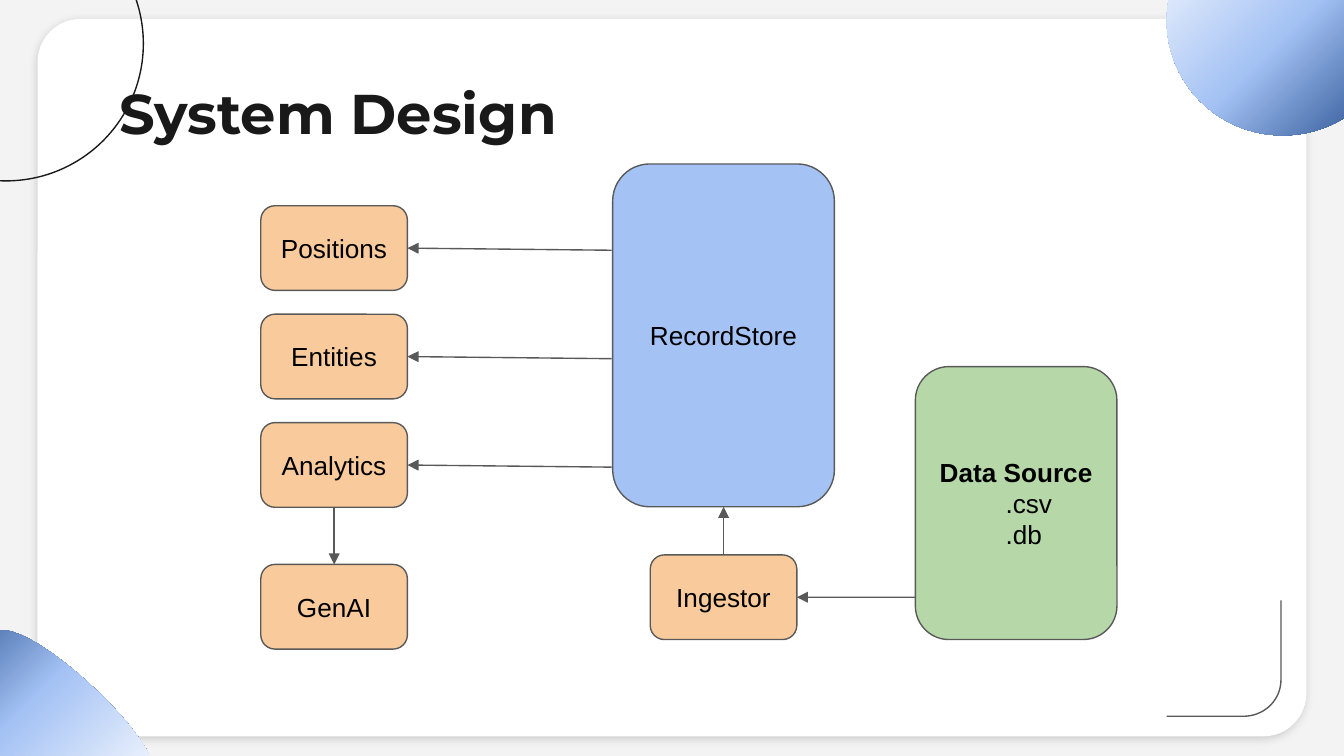
from copy import deepcopy

from lxml import etree
from pptx import Presentation
from pptx import util as u
from pptx.dml.color import RGBColor
from pptx.enum import shapes, text
from pptx.oxml import ns

GREY = RGBColor(0xF3, 0xF3, 0xF3)
WHITE = RGBColor(0xFF, 0xFF, 0xFF)
BLACK = RGBColor(0x00, 0x00, 0x00)
INK = RGBColor(0x19, 0x19, 0x19)
EDGE = RGBColor(0x59, 0x59, 0x59)
ORANGE = RGBColor(0xF9, 0xCB, 0x9C)
GREEN = RGBColor(0xB6, 0xD7, 0xA8)
BLUE = RGBColor(0xA4, 0xC2, 0xF4)
NAVY = RGBColor(0x1C, 0x45, 0x87)

HEADING = {"name": "Montserrat", "size": u.Pt(30), "bold": True}
LABEL = {"name": "Arial", "size": u.Pt(14), "bold": False}
SHADOW = {"blurRad": "57150", "dist": "19050", "dir": "5400000", "algn": "bl", "rotWithShape": "0"}


def style(shape, fill=None, line=None, angle=None):
    shape.shadow.inherit = False
    if angle is not None:
        shape.fill.gradient()
        shape.fill.gradient_angle = angle
        first = shape._element.spPr.find(".//" + ns.qn("a:gs"))
        first.addnext(deepcopy(first))
        for stop, position, color in zip(shape.fill.gradient_stops, (0, 0.47, 1), (NAVY, BLUE, WHITE)):
            stop.position = position
            stop.color.rgb = color
    elif fill is not None:
        shape.fill.solid()
        shape.fill.fore_color.rgb = fill
    else:
        shape.fill.background()
    if line is None:
        shape.line.fill.background()
    else:
        shape.line.color.rgb = line
        shape.line.width = u.Pt(0.75)


def curve(a, b, c, d, steps=24):
    points = []
    for i in range(1, steps + 1):
        t = i / steps
        weights = ((1 - t) ** 3, 3 * t * (1 - t) ** 2, 3 * t * t * (1 - t), t ** 3)
        points.append(tuple(u.Cm(sum(w * p[k] for w, p in zip(weights, (a, b, c, d)))) for k in (0, 1)))
    return points


deck = Presentation()
deck.slide_width = u.Cm(25.4)
deck.slide_height = u.Cm(14.29)
slide = deck.slides.add_slide(deck.slide_layouts[6])
slide.background.fill.solid()
slide.background.fill.fore_color.rgb = GREY
canvas = slide.shapes
ROUNDED = shapes.MSO_SHAPE.ROUNDED_RECTANGLE
OVAL = shapes.MSO_SHAPE.OVAL

card = canvas.add_shape(ROUNDED, u.Cm(0.71), u.Cm(0.36), u.Cm(23.98), u.Cm(13.56))
card.adjustments[0] = 0.06
style(card, WHITE)
glow = etree.SubElement(card._element.spPr.find(ns.qn("a:effectLst")), ns.qn("a:outerShdw"), SHADOW)
tint = etree.SubElement(glow, ns.qn("a:srgbClr"), val="000000")
etree.SubElement(tint, ns.qn("a:alpha"), val="17000")

petal_path = [
    ((2.9, 14.71), (3.2, 14.17), (0.79, 11.84), (0, 11.91)),
    ((0, 11.91), (-0.76, 11.96), (-2.26, 14.61), (-1.78, 15.06)),
    ((-1.78, 15.06), (-1.3, 15.54), (2.59, 15.24), (2.9, 14.71)),
]
petal = canvas.build_freeform(u.Cm(2.9), u.Cm(14.71))
for bend in petal_path:
    petal.add_line_segments(curve(*bend), close=False)
petal.add_line_segments([], close=True)
style(petal.convert_to_shape(), angle=315)

ring = canvas.add_shape(OVAL, u.Cm(-2.48), u.Cm(-1.77), u.Cm(5.19), u.Cm(5.19))
style(ring, line=INK)

corner = canvas.build_freeform(u.Cm(22.05), u.Cm(13.54))
turn = curve((23.5, 13.54), (23.9, 13.54), (24.21, 13.23), (24.21, 12.85))
corner.add_line_segments([(u.Cm(23.5), u.Cm(13.54)), *turn, (u.Cm(24.21), u.Cm(11.35))], close=False)
style(corner.convert_to_shape(), line=EDGE)

ball = canvas.add_shape(OVAL, u.Cm(22.05), u.Cm(-1.78), u.Cm(4.39), u.Cm(4.34))
style(ball, angle=135)

title = canvas.add_textbox(u.Cm(2.01), u.Cm(1.24), u.Cm(21.41), u.Cm(1.6))
title.text_frame.word_wrap = True
heading = title.text_frame.paragraphs[0].add_run()
heading.text = "System Design"
heading.font.color.rgb = INK
for key, value in HEADING.items():
    setattr(heading.font, key, value)
for side in ("left", "top", "right", "bottom"):
    setattr(title.text_frame, "margin_" + side, u.Cm(0.25))

blocks = [
    (["Ingestor"], 12.29, 10.49, 2.77, 1.6, ORANGE),
    (["GenAI"], 4.93, 10.67, 2.77, 1.6, ORANGE),
    (["Data Source", ".csv", ".db"], 17.3, 6.93, 3.81, 5.16, GREEN),
    (["RecordStore"], 11.58, 3.1, 4.19, 6.48, BLUE),
]
outputs = ["Positions", "Entities", "Analytics"]
for row, name in enumerate(outputs):
    blocks.append(([name], 4.93, 3.89 + 2.05 * row, 2.77, 1.6, ORANGE))

nodes = {}
for lines, left, top, width, height, color in blocks:
    node = canvas.add_shape(ROUNDED, u.Cm(left), u.Cm(top), u.Cm(width), u.Cm(height))
    style(node, color, EDGE)
    frame = node.text_frame
    frame.word_wrap = True
    frame.vertical_anchor = text.MSO_ANCHOR.MIDDLE
    for side in ("left", "top", "right", "bottom"):
        setattr(frame, "margin_" + side, u.Cm(0.25))
    for index, words in enumerate(lines):
        paragraph = frame.add_paragraph() if index else frame.paragraphs[0]
        paragraph.alignment = text.PP_ALIGN.LEFT if index else text.PP_ALIGN.CENTER
        if index:
            paragraph._p.get_or_add_pPr().set("marL", str(u.Cm(1.27)))
        label = paragraph.add_run()
        label.text = words
        label.font.color.rgb = BLACK
        for key, value in LABEL.items():
            setattr(label.font, key, value)
        label.font.bold = len(lines) > 1 and index == 0
    nodes[lines[0]] = node

flows = [
    (None, 17.3, 11.29, ("Ingestor", 3)),
    (("Ingestor", 0), 0, 0, ("RecordStore", 2)),
    (("Analytics", 2), 0, 0, ("GenAI", 0)),
]
for row, name in enumerate(outputs):
    flows.append((None, 11.56, 4.73 + 2.05 * row, (name, 3)))

for source, x, y, (target, site) in flows:
    arrow = canvas.add_connector(shapes.MSO_CONNECTOR.STRAIGHT, u.Cm(x), u.Cm(y), u.Cm(x), u.Cm(y))
    if source:
        arrow.begin_connect(nodes[source[0]], source[1])
    arrow.end_connect(nodes[target], site)
    arrow.line.color.rgb = EDGE
    arrow.line.width = u.Pt(0.75)
    etree.SubElement(arrow.line._get_or_add_ln(), ns.qn("a:tailEnd"), type="triangle")
    etree.SubElement(arrow._element.spPr, ns.qn("a:effectLst"))

deck.save("out.pptx")
